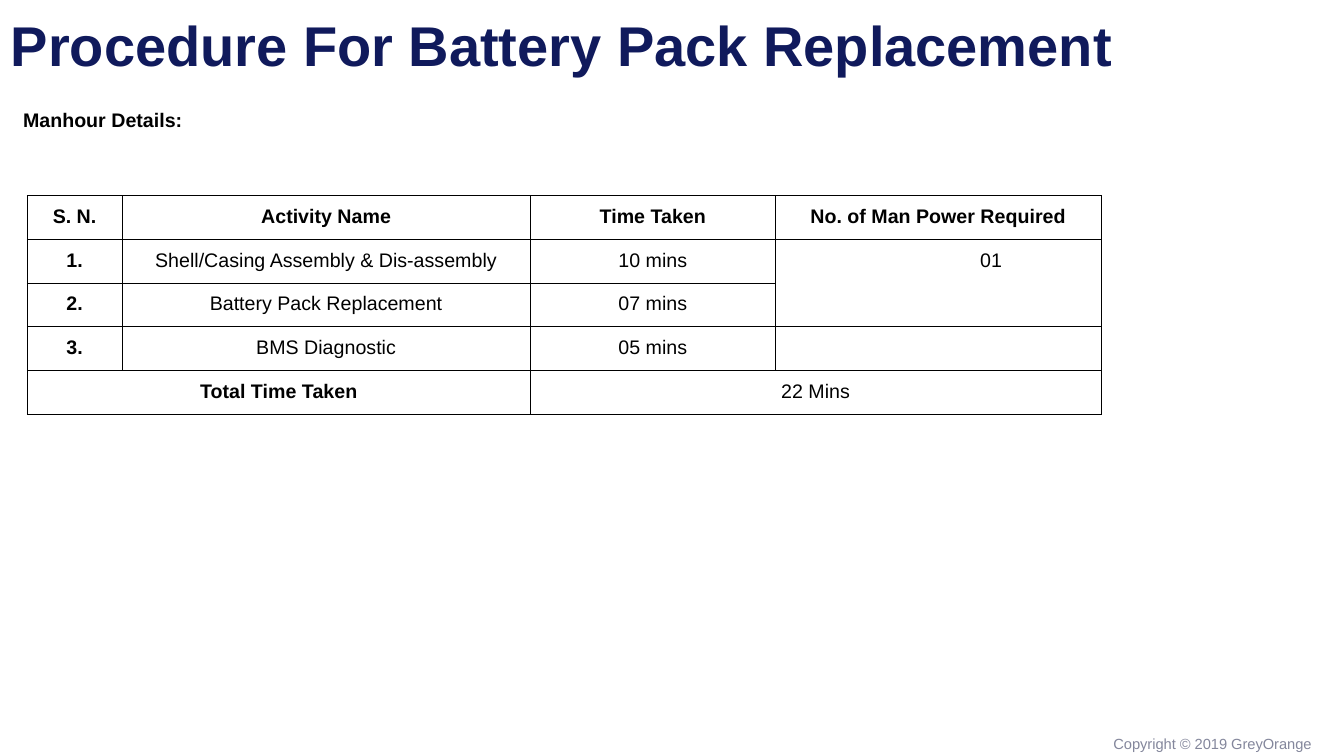
from lxml.etree import SubElement
from pptx import Presentation
from pptx.dml.color import RGBColor
from pptx.enum.text import MSO_ANCHOR as ANCHOR, PP_ALIGN as ALIGN
from pptx.oxml.ns import qn
from pptx.util import Pt

PX = 9144
FONT = "Arial"
BLACK, NAVY, GREY = "000000", "101A5C", "84879C"
COLUMNS = [94, 405, 243, 323]
ROW_HEIGHT = 40
ROWS = [
    ["S. N.", "Activity Name", "Time Taken", "No. of Man Power Required"],
    ["1.", "Shell/Casing Assembly & Dis-assembly", "10 mins", "01"],
    ["2.", "Battery Pack Replacement", "07 mins", ""],
    ["3.", "BMS Diagnostic", "05 mins", ""],
    ["Total Time Taken", "", "22 Mins", ""],
]
MERGES = [((1, 3), (2, 3)), ((4, 0), (4, 1)), ((4, 2), (4, 3))]


def px(n):
    return int(n * PX)


def rgb(color):
    return RGBColor.from_string(color)


def style(p, size, color, bold, align):
    p.alignment = align
    p.font.name = FONT
    p.font.size = Pt(size)
    p.font.bold = bold
    p.font.color.rgb = rgb(color)


def add_text(s, box, text, size, color, bold=True, align=ALIGN.LEFT,
             anchor=ANCHOR.TOP, inset=5, spacing=None):
    tf = s.shapes.add_textbox(*map(px, box)).text_frame
    tf.word_wrap = True
    tf.vertical_anchor = anchor
    tf.margin_left = tf.margin_right = px(10)
    tf.margin_top = tf.margin_bottom = px(inset)
    p = tf.paragraphs[0]
    p.text = text
    style(p, size, color, bold, align)
    if spacing:
        p.line_spacing = spacing


def add_borders(cell):
    tc_pr = cell._tc.get_or_add_tcPr()
    for side in ("lnL", "lnR", "lnT", "lnB"):
        ln = SubElement(tc_pr, qn(f"a:{side}"), w=str(Pt(0.75)))
        fill = SubElement(ln, qn("a:solidFill"))
        SubElement(fill, qn("a:srgbClr"), val=BLACK)


def add_manhour_table(s, left, top):
    table = s.shapes.add_table(
        len(ROWS), len(COLUMNS), px(left), px(top),
        px(sum(COLUMNS)), px(ROW_HEIGHT * len(ROWS))).table
    table.first_row = table.horz_banding = False
    for column, width in zip(table.columns, COLUMNS):
        column.width = px(width)
    for i, row in enumerate(ROWS):
        table.rows[i].height = px(ROW_HEIGHT)
        for j, text in enumerate(row):
            cell = table.cell(i, j)
            cell.margin_left = cell.margin_right = px(10)
            cell.margin_top = cell.margin_bottom = px(10 if text else 0)
            add_borders(cell)
            cell.fill.background()
            p = cell.text_frame.paragraphs[0]
            if text:
                p.text = text
            style(p, 14, BLACK, i == 0 or j == 0, ALIGN.CENTER)
    for first, last in MERGES:
        table.cell(*first).merge(table.cell(*last))
    table.cell(1, 3).margin_left = px(115)


def main():
    prs = Presentation()
    prs.slide_width, prs.slide_height = px(1333), px(750)
    s = prs.slides.add_slide(prs.slide_layouts[6])
    add_text(s, (1065, 724, 246, 28), "Copyright © 2019 GreyOrange", 10.5,
             GREY, bold=False, align=ALIGN.RIGHT)
    add_manhour_table(s, 27, 194)
    add_text(s, (13, 97, 328, 44), "Manhour Details:", 14, BLACK, inset=10)
    add_text(s, (1, 0, 1153, 97), "Procedure For Battery Pack Replacement", 40,
             NAVY, anchor=ANCHOR.MIDDLE, spacing=0.9)
    prs.save("out.pptx")


if __name__ == "__main__":
    main()
